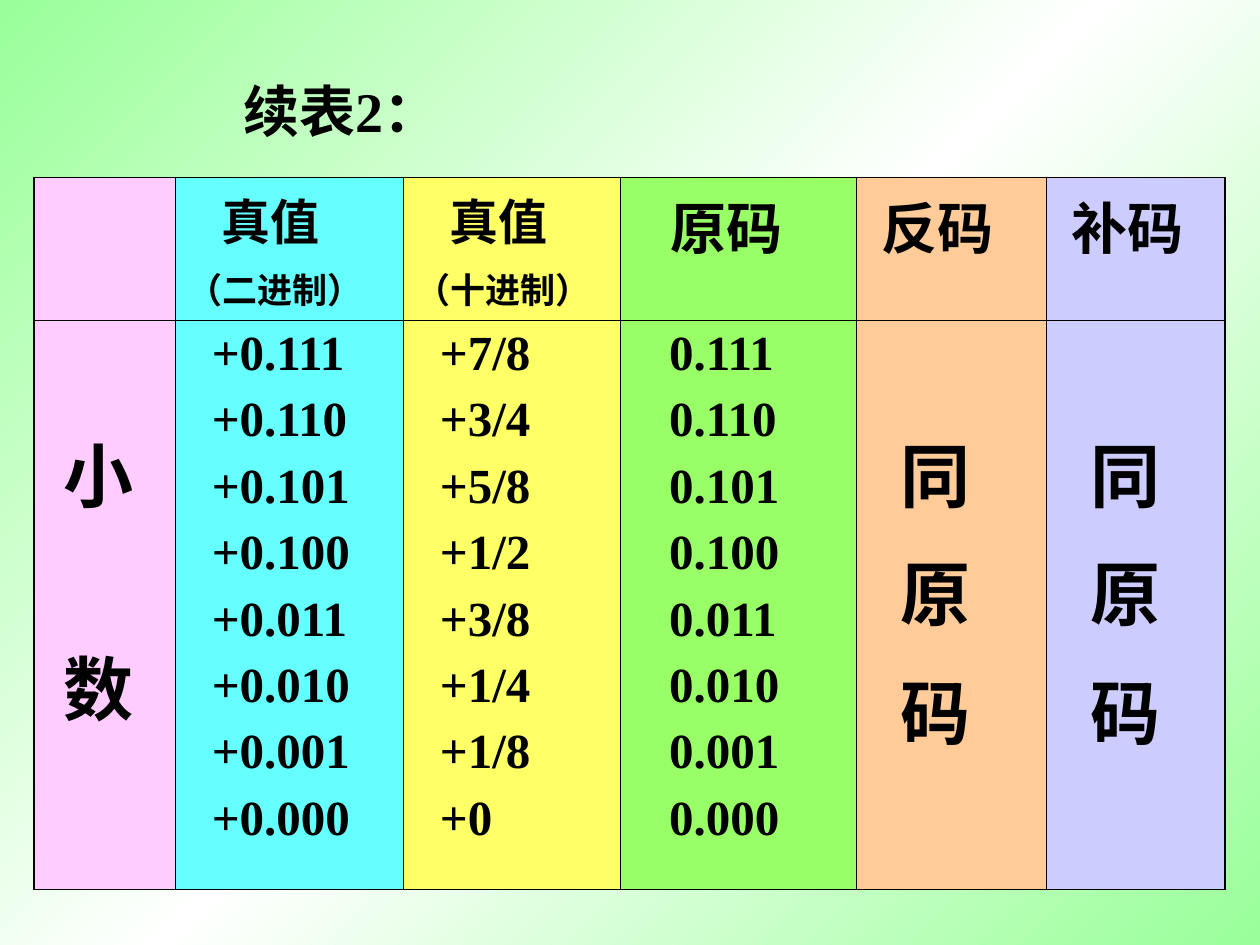
from copy import deepcopy
from dataclasses import dataclass

from lxml.etree import SubElement
from pptx import Presentation
from pptx.dml.color import RGBColor
from pptx.enum.text import MSO_ANCHOR
from pptx.oxml.ns import qn
from pptx.util import Cm, Pt


@dataclass(frozen=True)
class Theme:
    font: str = "Times New Roman"
    ink: str = "000000"
    gradient: tuple = ("99FF99", "FFFFFF", "99FF99")
    small: int = 20
    normal: int = 28
    heading: int = 32
    large: int = 40
    outer_line: float = 1.08
    inner_line: float = 0.45


@dataclass(frozen=True)
class Line:
    text: str
    size: int
    indent: float = 0
    before: float = 0


@dataclass(frozen=True)
class Column:
    width: float
    fill: str
    header: list
    body: list
    body_top: float = 0.13


THEME = Theme()


def write_line(paragraph, text: str, *, size: int, indent: float = 0, before: float = 0) -> None:
    properties = paragraph._p.get_or_add_pPr()
    properties.set("marL", str(Cm(indent)))
    properties.set("indent", "0")
    paragraph.space_before = Pt(before)
    span = paragraph.add_run()
    span.text = text
    span.font.name = THEME.font
    span.font.size = Pt(size)
    span.font.bold = True
    span.font.color.rgb = RGBColor.from_string(THEME.ink)


def write_lines(frame, lines: list) -> None:
    for index, line in enumerate(lines):
        paragraph = frame.paragraphs[0] if index == 0 else frame.add_paragraph()
        write_line(paragraph, line.text, size=line.size, indent=line.indent, before=line.before)


def stack(texts: str, size: int, indent: float, before: float) -> list:
    return [Line(text, size, indent, before if index else 0) for index, text in enumerate(texts.split())]


def numbers(texts: str, indent: float) -> list:
    return stack(texts, THEME.normal, indent, 7)


def true_value_header(base: str) -> list:
    return [Line("真值", THEME.normal, 0.68), Line(base, THEME.small, before=4.5)]


def same_code_column(width: float, fill: str, title: str) -> Column:
    return Column(width, fill, [Line(title, THEME.heading, 0.26)],
                  stack("同 原 码", THEME.large, 0.63, 10), 2.04)


def set_borders(cell, widths: dict) -> None:
    properties = cell._tc.get_or_add_tcPr()
    for side, width in widths.items():
        border = SubElement(properties, qn(f"a:ln{side}"), w=str(Pt(width)))
        fill = SubElement(border, qn("a:solidFill"))
        SubElement(fill, qn("a:srgbClr"), val=THEME.ink)


def paint_background(page) -> None:
    fill = page.background.fill
    fill.gradient()
    fill.gradient_angle = 135
    stop_list = page._element.find(f".//{qn('a:gsLst')}")
    stop_list.append(deepcopy(stop_list[-1]))
    for index, (stop, color) in enumerate(zip(fill.gradient_stops, THEME.gradient)):
        stop.position = index / 2
        stop.color.rgb = RGBColor.from_string(color)


def add_title(page, text: str) -> None:
    box = page.shapes.add_textbox(Cm(4.65), Cm(1.05), Cm(19.48), Cm(2.34))
    box.text_frame.word_wrap = True
    box.text_frame.vertical_anchor = MSO_ANCHOR.MIDDLE
    write_lines(box.text_frame, [Line(text, THEME.heading)])


def add_code_table(page, columns: list, heights: tuple) -> None:
    width = sum(column.width for column in columns)
    table = page.shapes.add_table(len(heights), len(columns), Cm(0.69), Cm(3.58),
                                  Cm(width), Cm(sum(heights))).table
    table.horz_banding = False
    for row, height in enumerate(heights):
        table.rows[row].height = Cm(height)
    for index, column in enumerate(columns):
        table.columns[index].width = Cm(column.width)
        for row, lines in enumerate((column.header, column.body)):
            cell = table.cell(row, index)
            edges = {"L": index == 0, "R": index == len(columns) - 1,
                     "T": row == 0, "B": row == len(heights) - 1}
            set_borders(cell, {side: THEME.outer_line if outer else THEME.inner_line
                               for side, outer in edges.items()})
            cell.fill.solid()
            cell.fill.fore_color.rgb = RGBColor.from_string(column.fill)
            cell.margin_left = cell.margin_right = Cm(0.25)
            cell.margin_top = Cm(column.body_top if row else 0.13)
            cell.margin_bottom = Cm(0.13)
            write_lines(cell.text_frame, lines)


def main() -> None:
    deck = Presentation()
    deck.slide_width, deck.slide_height = Cm(25.4), Cm(19.05)
    page = deck.slides.add_slide(deck.slide_layouts[6])
    paint_background(page)
    add_title(page, "续表2：")
    columns = [
        Column(2.84, "FFCCFF", [], stack("小 数", THEME.large, 0.33, 64), 2.04),
        Column(4.6, "66FFFF", true_value_header("（二进制）"),
               numbers("+0.111 +0.110 +0.101 +0.100 +0.011 +0.010 +0.001 +0.000", 0.49)),
        Column(4.37, "FFFF66", true_value_header("（十进制）"),
               numbers("+7/8 +3/4 +5/8 +1/2 +3/8 +1/4 +1/8 +0", 0.49)),
        Column(4.77, "99FF66", [Line("原码", THEME.heading, 0.77)],
               numbers("0.111 0.110 0.101 0.100 0.011 0.010 0.001 0.000", 0.74)),
        same_code_column(3.83, "FFCC99", "反码"),
        same_code_column(3.6, "CCCCFF", "补码"),
    ]
    add_code_table(page, columns, heights=(2.87, 11.48))
    deck.save("out.pptx")


if __name__ == "__main__":
    main()
